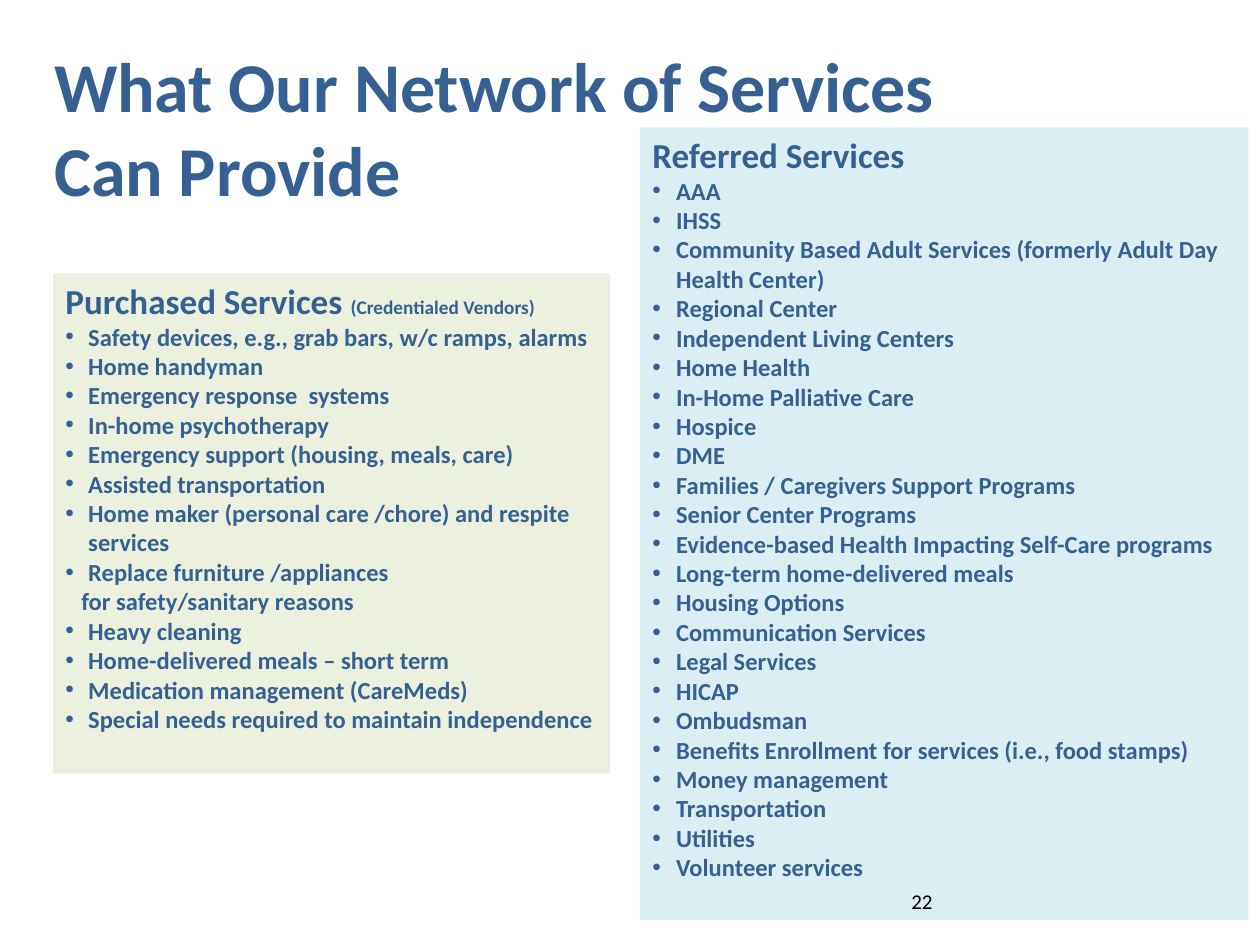
from lxml import etree
from pptx import Presentation, util as u
from pptx.dml.color import RGBColor
from pptx.enum import shapes, text
from pptx.oxml.ns import qn

THEME = {
    "font": "Calibri", "ink": "376092", "black": "000000",
    "green": "EBF1DE", "blue": "DBEEF4",
    "title": 40, "heading": 20, "note": 11, "item": 14, "number": 12,
}
TITLE = ["What Our Network of Services", "Can Provide"]
PAGE_NUMBER = "22"

# An item is a bullet; a tuple holds a bullet and an unbulleted line under it.
PANELS = [
    {
        "heading": "Purchased Services ", "note": "(Credentialed Vendors)",
        "place": (1.07, 5.51, 11.23, 10.08), "fill": "green", "indent": 0.46,
        "items": [
            "Safety devices, e.g., grab bars, w/c ramps, alarms",
            "Home handyman",
            "Emergency response  systems",
            "In-home psychotherapy",
            "Emergency support (housing, meals, care)",
            "Assisted transportation",
            "Home maker (personal care /chore) and respite services",
            ("Replace furniture /appliances", "for safety/sanitary reasons"),
            "Heavy cleaning",
            "Home-delivered meals – short term",
            "Medication management (CareMeds)",
            "Special needs required to maintain independence",
        ],
    },
    {
        "heading": "Referred Services", "note": "",
        "place": (12.9, 2.57, 12.27, 15.98), "fill": "blue", "indent": 0.48,
        "items": [
            "AAA",
            "IHSS",
            "Community Based Adult Services (formerly Adult Day Health Center)",
            "Regional Center",
            "Independent Living Centers",
            "Home Health",
            "In-Home Palliative Care",
            "Hospice",
            "DME",
            "Families / Caregivers Support Programs",
            "Senior Center Programs",
            "Evidence-based Health Impacting Self-Care programs",
            "Long-term home-delivered meals",
            "Housing Options",
            "Communication Services",
            "Legal Services",
            "HICAP",
            "Ombudsman",
            "Benefits Enrollment for services (i.e., food stamps)",
            "Money management",
            "Transportation",
            "Utilities",
            "Volunteer services",
        ],
    },
]
CONTINUATION_INDENT = 0.32


def color(name):
    return RGBColor.from_string(THEME[name])


def set_all(target, values):
    for name, value in values.items():
        setattr(target, name, value)


def add_span(para, words, size, ink="ink", bold=True):
    span = para.add_run()
    span.text = words
    set_all(span.font, {"name": THEME["font"], "size": u.Pt(THEME[size]), "bold": bold})
    span.font.color.rgb = color(ink)


def set_indent(para, left, bullet=False):
    """Indent a paragraph by left cm, with a hanging bullet if asked."""
    props = para._p.get_or_add_pPr()
    props.set("marL", str(u.Cm(left)))
    if bullet:
        props.set("indent", str(-u.Cm(left)))
        etree.SubElement(props, qn("a:buFont")).set("typeface", "Arial")
        etree.SubElement(props, qn("a:buChar")).set("char", "•")


def add_text_box(page, place, align):
    box = page.shapes.add_textbox(*map(u.Cm, place))
    set_all(box.text_frame, {"word_wrap": True, "vertical_anchor": text.MSO_ANCHOR.MIDDLE})
    para = box.text_frame.paragraphs[0]
    para.alignment = align
    return para


def add_panel(page, panel):
    box = page.shapes.add_shape(shapes.MSO_SHAPE.RECTANGLE, *map(u.Cm, panel["place"]))
    box.shadow.inherit = False
    box.fill.solid()
    box.fill.fore_color.rgb = color(panel["fill"])
    box.line.fill.background()
    frame = box.text_frame
    set_all(frame, {"word_wrap": True, "vertical_anchor": text.MSO_ANCHOR.TOP})

    para = frame.paragraphs[0]
    add_span(para, panel["heading"], "heading")
    if panel["note"]:
        add_span(para, panel["note"], "note")
    for item in panel["items"]:
        lines = (item,) if isinstance(item, str) else item
        for index, line in enumerate(lines):
            para = frame.add_paragraph()
            set_indent(para, CONTINUATION_INDENT if index else panel["indent"], bullet=not index)
            add_span(para, line, "item")
    for para in frame.paragraphs:
        para.alignment = text.PP_ALIGN.LEFT


def main():
    deck = Presentation()
    set_all(deck, {"slide_width": u.Cm(25.4), "slide_height": u.Cm(19.05)})
    page = deck.slides.add_slide(deck.slide_layouts[6])

    title = add_text_box(page, (0.84, 0.97, 22.86, 3.18), text.PP_ALIGN.LEFT)
    for index, line in enumerate(TITLE):
        if index:
            title.add_line_break()
        add_span(title, line, "title")
    for panel in PANELS:
        add_panel(page, panel)
    number = add_text_box(page, (17.35, 17.65, 1.7, 1.02), text.PP_ALIGN.RIGHT)
    add_span(number, PAGE_NUMBER, "number", ink="black", bold=False)

    deck.save("out.pptx")


if __name__ == "__main__":
    main()
